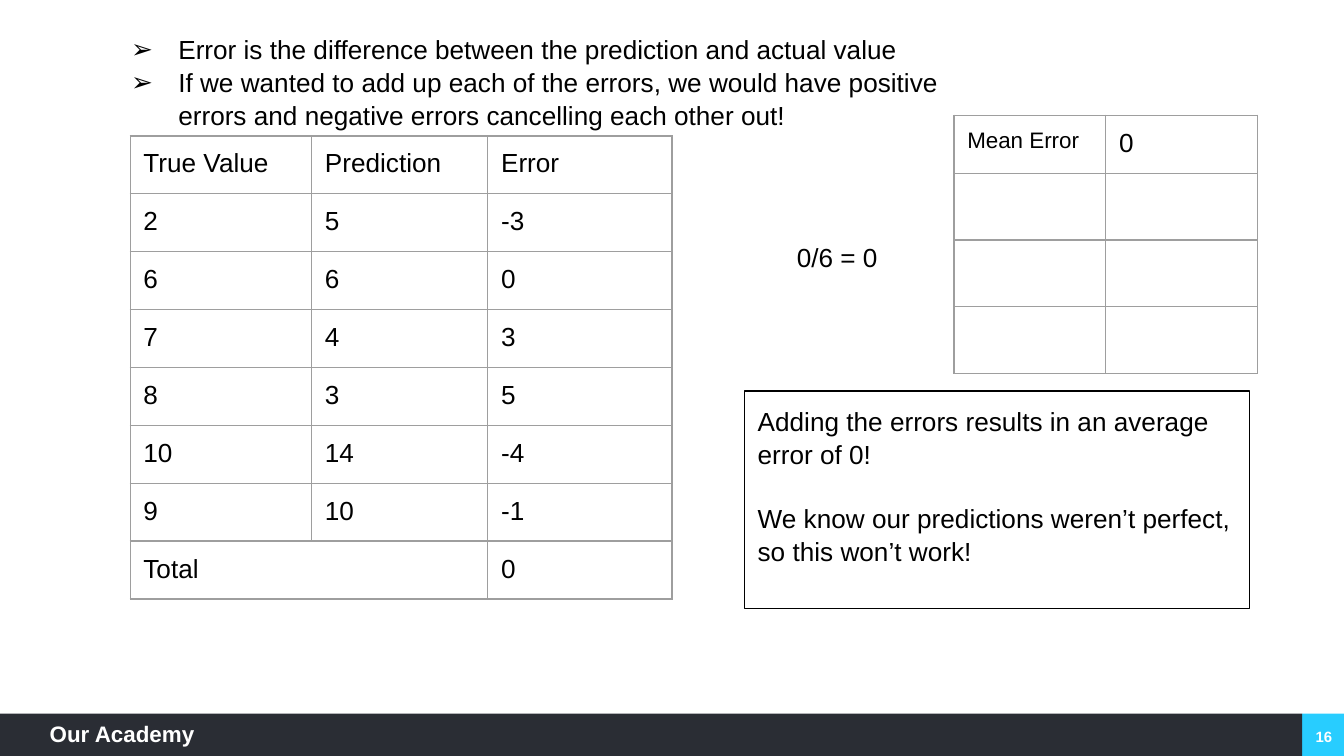
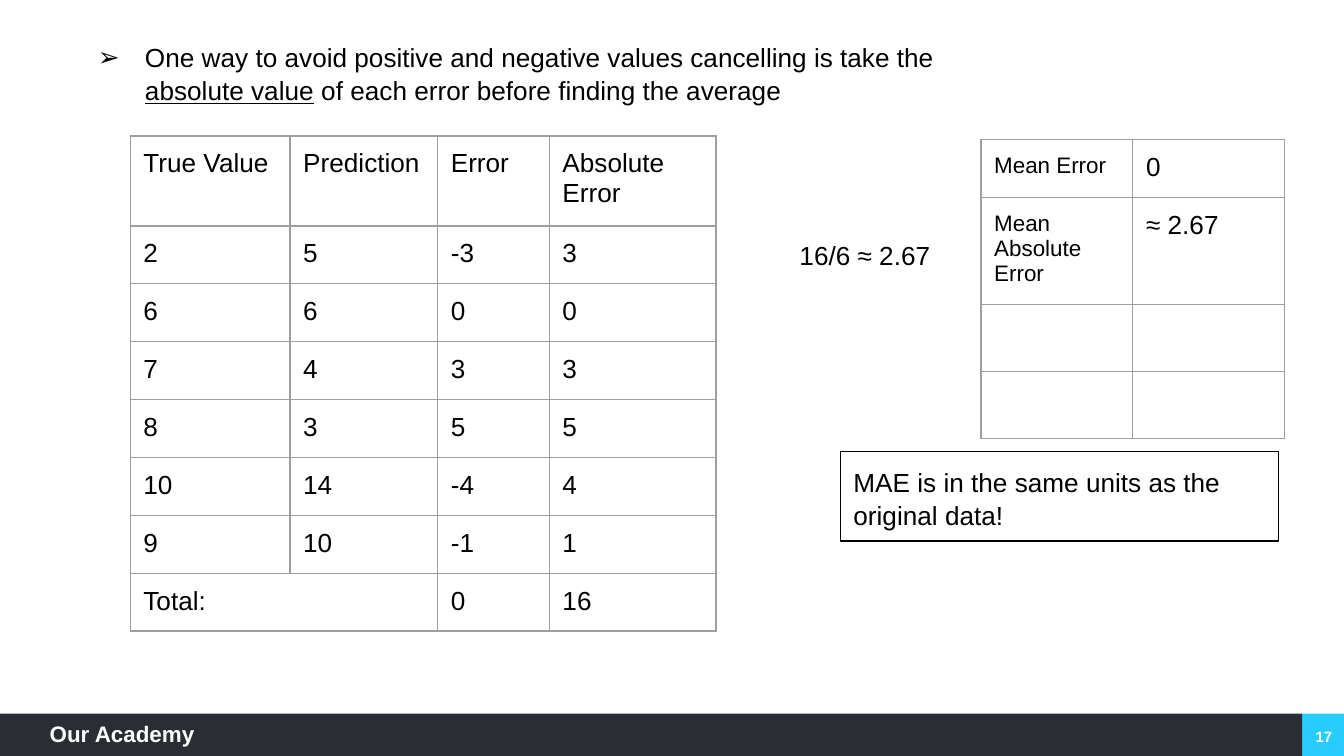
"""Build two slides on mean error and mean absolute error."""
from lxml.etree import SubElement
from pptx import Presentation
from pptx.dml.color import RGBColor
from pptx.enum.shapes import MSO_SHAPE
from pptx.enum.text import MSO_ANCHOR, MSO_AUTO_SIZE, PP_ALIGN
from pptx.oxml.ns import qn
from pptx.util import Cm, Pt

COLOURS = {
    "accent": "28CDFF",
    "band": "2A2D34",
    "white": "FFFFFF",
    "text": "000000",
    "grid": "9E9E9E",
}
FONT = "Arial"
INSET = Cm(0.25)
LINE_SPACING = 1.05
ROW = 1.08

PAIRS = [(2, 5), (6, 6), (7, 4), (8, 3), (10, 14), (9, 10)]
ERRORS = [(true, guess, true - guess) for true, guess in PAIRS]
ABSOLUTE = [(*row, abs(row[2])) for row in ERRORS]
HEADINGS = ["True Value", "Prediction", "Error"]

SLIDES = [
    {
        "number": "16",
        "bullets": [
            ["Error is the difference between the prediction and actual value"],
            ["If we wanted to add up each of the errors, we would have positive "
             "errors and negative errors cancelling each other out!"],
        ],
        "bullets_at": (1.85, 0.36, 17.3, 2.31),
        "values": [HEADINGS, *ERRORS, ["Total", "", 0]],
        "columns": [3.43, 3.33, 3.48],
        "heights": [ROW] * 8,
        "summary": [["Mean Error", "0"], ["", ""], ["", ""], ["", ""]],
        "summary_at": (18.03, 2.18),
        "formula": "0/6 = 0",
        "formula_at": (14.81, 4.29, 3.71, 1.12),
        "note": [
            ["Adding the errors results in an average error of 0!"],
            ["We know our predictions weren’t perfect, so this won’t work!"],
        ],
        "note_at": (14.07, 7.39, 9.55, 4.11),
    },
    {
        "number": "17",
        "bullets": [
            ["One way to avoid positive and negative values cancelling is take the ",
             "absolute value",
             " of each error before finding the average"],
        ],
        "bullets_at": (1.22, 0.51, 17.3, 1.7),
        "values": [[*HEADINGS, "Absolute\nError"], *ABSOLUTE, ["Total:", "", 0, 16]],
        "columns": [3.02, 2.79, 2.11, 3.15],
        "heights": [1.7] + [ROW] * 7,
        "summary": [["Mean Error", "0"], ["Mean Absolute Error", "≈ 2.67"],
                    ["", ""], ["", ""]],
        "summary_at": (18.54, 2.64),
        "formula": "16/6 ≈ 2.67",
        "formula_at": (14.86, 4.24, 3.71, 1.12),
        "note": [["MAE is in the same units as the original data!"]],
        "note_at": (15.88, 8.53, 8.28, 1.7),
    },
]


def write(frame, paragraphs, size=14, colour="text", bold=False, spacing=1.0,
          bullet=None, gap=0, align=PP_ALIGN.LEFT):
    for index, spans in enumerate(paragraphs):
        para = frame.add_paragraph() if index else frame.paragraphs[0]
        para.alignment = align
        para.line_spacing = spacing
        para.space_before = Pt(gap if index else 0)
        if bullet:
            properties = para._p.get_or_add_pPr()
            properties.set("marL", str(Cm(1.27)))
            properties.set("indent", str(Cm(-0.89)))
            bullet_colour = SubElement(properties, qn("a:buClr"))
            SubElement(bullet_colour, qn("a:srgbClr"), val=COLOURS[colour])
            SubElement(properties, qn("a:buChar"), char=bullet)
        for text in spans:
            span = para.add_run()
            span.text = text
            span.font.name = FONT
            span.font.size = Pt(size)
            span.font.bold = bold
            span.font.underline = text == "absolute value"
            span.font.color.rgb = RGBColor.from_string(COLOURS[colour])


def add_grid(page, left, top, widths, heights, rows, label_size=14):
    grid = page.shapes.add_table(
        len(rows), len(widths), Cm(left), Cm(top), Cm(sum(widths)), Cm(sum(heights))
    ).table
    grid.first_row = False
    grid.horz_banding = False
    for column, width in zip(grid.columns, widths):
        column.width = Cm(width)
    for r, (values, height) in enumerate(zip(rows, heights)):
        grid.rows[r].height = Cm(height)
        for c, value in enumerate(values):
            cell = grid.cell(r, c)
            cell.margin_left = cell.margin_right = INSET
            cell.margin_top = cell.margin_bottom = INSET
            properties = cell._tc.get_or_add_tcPr()
            for side in ("lnL", "lnR", "lnT", "lnB"):
                border = SubElement(properties, qn(f"a:{side}"), w=str(Pt(0.75)))
                fill = SubElement(border, qn("a:solidFill"))
                SubElement(fill, qn("a:srgbClr"), val=COLOURS["grid"])
            cell.fill.background()
            if value != "":
                lines = [[line] for line in str(value).split("\n")]
                write(cell.text_frame, lines, size=14 if c else label_size)
    return grid


deck = Presentation()
deck.slide_width = Cm(25.4)
deck.slide_height = Cm(14.29)

for content in SLIDES:
    page = deck.slides.add_slide(deck.slide_layouts[1])
    title = page.shapes.title
    title._element.getparent().remove(title._element)

    for colour, left, width in (("accent", 24.61, 0.79), ("band", 0, 24.61)):
        bar = page.shapes.add_shape(
            MSO_SHAPE.RECTANGLE, Cm(left), Cm(13.49), Cm(width), Cm(0.8))
        bar.shadow.inherit = False
        bar.fill.solid()
        bar.fill.fore_color.rgb = RGBColor.from_string(COLOURS[colour])
        bar.line.fill.background()

    brand = page.shapes.add_textbox(Cm(0.94), Cm(13.61), Cm(3.99), Cm(0.58)).text_frame
    brand.word_wrap = True
    brand.margin_left = brand.margin_right = brand.margin_top = brand.margin_bottom = 0
    write(brand, [["Our Academy"]], size=12, colour="white", bold=True)

    number = page.shapes.add_textbox(Cm(24.64), Cm(13.54), Cm(0.76), Cm(0.76)).text_frame
    number.word_wrap = True
    number.vertical_anchor = MSO_ANCHOR.MIDDLE
    number.margin_left = number.margin_right = Cm(0.18)
    number.margin_top = number.margin_bottom = Cm(0.1)
    write(number, [[content["number"]]], size=8, colour="white", bold=True,
          align=PP_ALIGN.CENTER)

    body = page.placeholders[1]
    body.left, body.top, body.width, body.height = map(Cm, content["bullets_at"])
    formula = page.shapes.add_textbox(*map(Cm, content["formula_at"]))
    note = page.shapes.add_shape(MSO_SHAPE.RECTANGLE, *map(Cm, content["note_at"]))
    note.shadow.inherit = False
    note.fill.background()
    note.line.color.rgb = RGBColor.from_string(COLOURS["text"])
    note.line.width = Pt(0.75)

    for box, paragraphs, bullet in ((body, content["bullets"], "➢"),
                                    (formula, [[content["formula"]]], None),
                                    (note, content["note"], None)):
        frame = box.text_frame
        frame.word_wrap = True
        frame.auto_size = MSO_AUTO_SIZE.SHAPE_TO_FIT_TEXT if bullet else MSO_AUTO_SIZE.NONE
        frame.vertical_anchor = MSO_ANCHOR.TOP
        frame.margin_left = frame.margin_right = INSET
        frame.margin_top = frame.margin_bottom = INSET
        write(frame, paragraphs, spacing=LINE_SPACING, bullet=bullet,
              gap=0 if bullet else 16.5)

    values = add_grid(page, 2.46, 2.57, content["columns"], content["heights"],
                      content["values"])
    values.cell(7, 0).merge(values.cell(7, 1))
    add_grid(page, *content["summary_at"], [2.87] * 2, [ROW] * 4,
             content["summary"], label_size=12)

deck.save("out.pptx")
